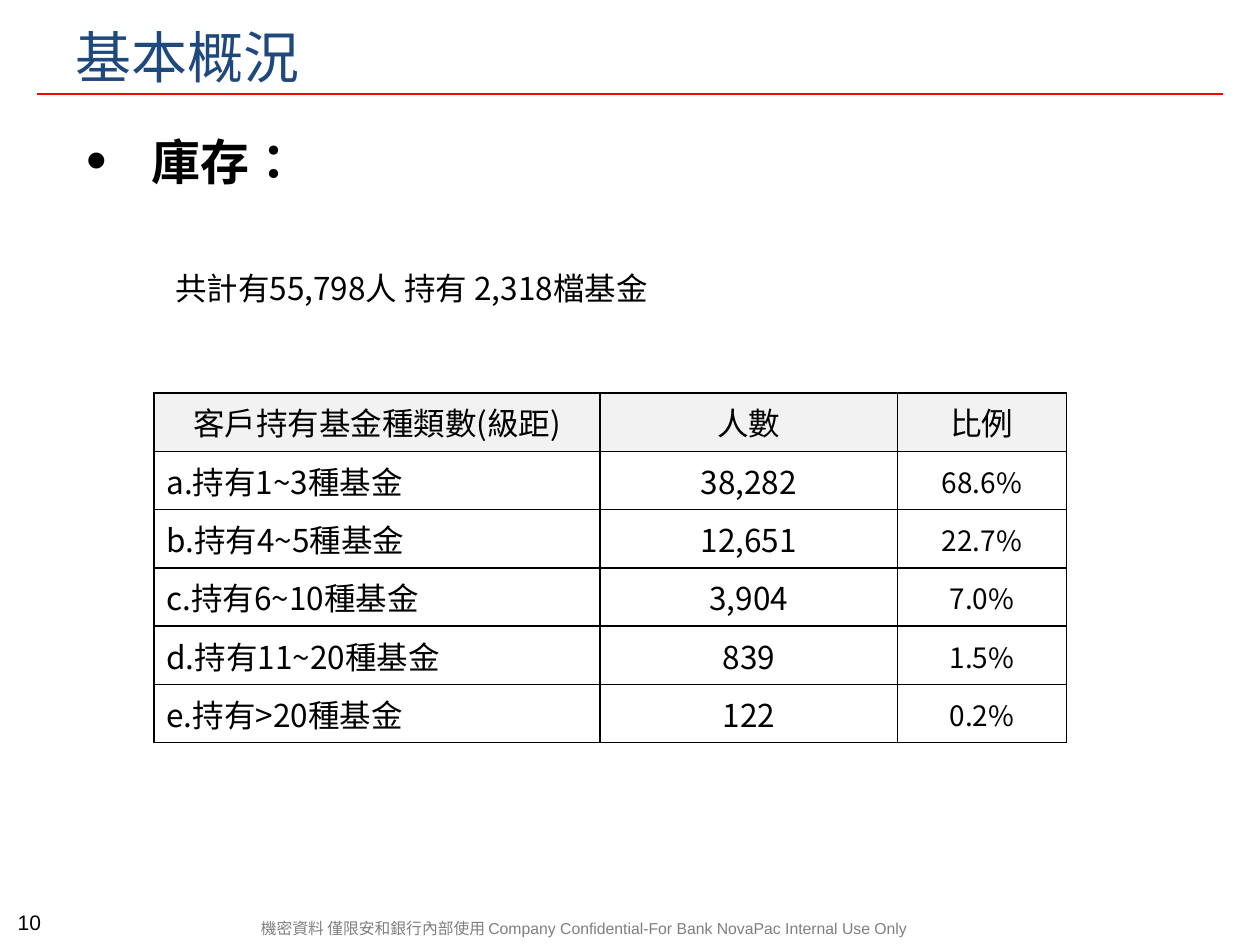
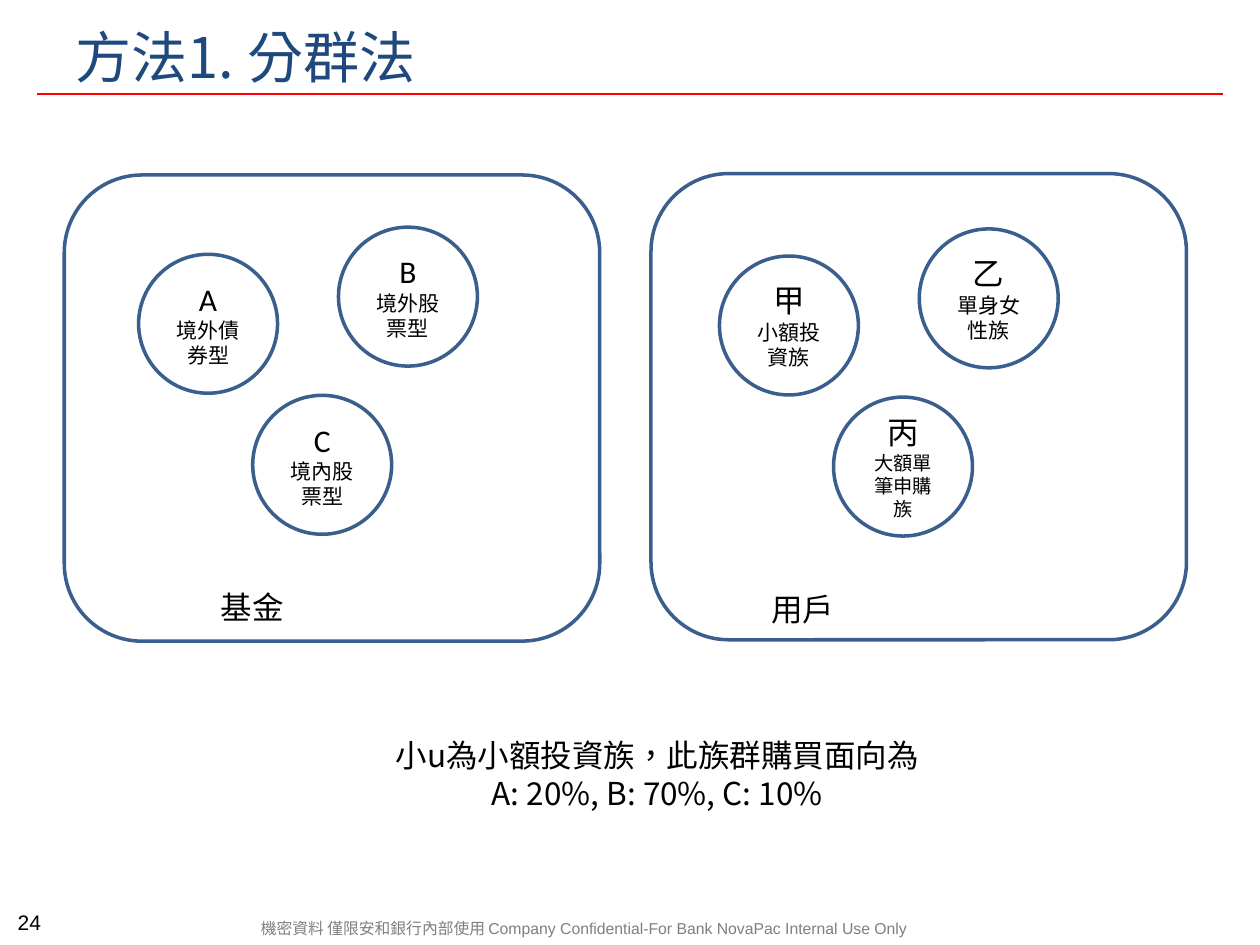
import pptx
import pptx.util
import pptx.dml.color
import pptx.enum.shapes
import pptx.enum.text
import pptx.oxml.ns
from lxml import etree

Pt = pptx.util.Pt
ALIGN = pptx.enum.text.PP_ALIGN
ANCHOR = pptx.enum.text.MSO_ANCHOR
SHAPE = pptx.enum.shapes.MSO_SHAPE
qn = pptx.oxml.ns.qn

CJK = "Noto Sans CJK SC"
BLACK, NAVY, RED = "000000", "1F497D", "FF0000"
GREY, PALE, BLUE = "7F7F7F", "F2F2F2", "3A5F8C"
FOOTER = "機密資料 僅限安和銀行內部使用 Company Confidential-For Bank NovaPac Internal Use Only"


def rgb(code):
    return pptx.dml.color.RGBColor.from_string(code)


def style(run, size, color=BLACK, face=CJK, bold=False):
    font = run.font
    font.size, font.bold, font.name = Pt(size), bold, face
    font.color.rgb = rgb(color)
    font._element.set("lang", "zh-TW")
    etree.SubElement(font._element, qn("a:ea")).set("typeface", CJK)


def write(frame, text, size, color=BLACK, face=CJK, align=ALIGN.LEFT):
    frame.word_wrap = True
    frame.text = text
    para = frame.paragraphs[0]
    para.alignment = align
    for run in para.runs:
        style(run, size, color, face)
    return para


def place(shape, box):
    shape.left, shape.top, shape.width, shape.height = map(Pt, box)


def label(slide, box, text, size, anchor=ANCHOR.TOP, **look):
    frame = slide.shapes.add_textbox(*map(Pt, box)).text_frame
    frame.vertical_anchor = anchor
    return write(frame, text, size, **look)


def outline(slide, kind, box):
    shape = slide.shapes.add_shape(kind, *map(Pt, box))
    shape.shadow.inherit = False
    shape.fill.background()
    shape.line.color.rgb = rgb(BLUE)
    shape.line.width = Pt(2)
    return shape


# Shared frame: title, red rule, footer and page number
def base(deck, layout, title, page):
    slide = deck.slides.add_slide(deck.slide_layouts[layout])
    head = slide.shapes.title
    place(head, (36, 9.4, 648, 41.8))
    head.text_frame.vertical_anchor = ANCHOR.TOP
    write(head.text_frame, title, 32, NAVY)

    rule = slide.shapes.add_connector(
        pptx.enum.shapes.MSO_CONNECTOR.STRAIGHT, Pt(21.1), Pt(53.8), Pt(699), Pt(53.8))
    rule.line.color.rgb = rgb(RED)
    rule.line.width = Pt(1.25)
    etree.SubElement(rule._element.spPr, qn("a:effectLst"))

    foot = label(slide, (142, 522, 410.4, 17.3), FOOTER, 9, ANCHOR.MIDDLE,
                 color=GREY, face="Arial")
    foot.line_spacing = Pt(10)
    num = label(slide, (0.9, 519.8, 31.7, 18), str(page), 12, ANCHOR.BOTTOM,
                face="Arial", align=ALIGN.CENTER)
    num.line_spacing = Pt(10.2)
    return slide


# Bulleted heading with an indented line below it
def body(slide, box, head, note):
    shape = slide.placeholders[1]
    place(shape, box)
    frame = shape.text_frame
    frame.vertical_anchor = ANCHOR.TOP
    frame.text = head
    frame.add_paragraph().text = note
    looks = ((28, True, 36.7, -36.7, 0), (18, False, 50.4, 0, 45))
    for para, (size, bold, left, first, gap) in zip(frame.paragraphs, looks):
        style(para.runs[0], size, bold=bold)
        para.space_before = Pt(gap)
        props = para._p.get_or_add_pPr()
        props.set("marL", str(Pt(left)))
        props.set("indent", str(Pt(first)))
        if first:
            etree.SubElement(props, qn("a:buSzPct")).set("val", "120000")
            etree.SubElement(props, qn("a:buFont")).set("typeface", "Arial")
            etree.SubElement(props, qn("a:buChar")).set("char", "•")
        else:
            etree.SubElement(props, qn("a:buNone"))


def border(cell):
    props = cell._tc.get_or_add_tcPr()
    for side in ("lnL", "lnR", "lnT", "lnB"):
        line = etree.SubElement(props, qn("a:" + side), w=str(Pt(1)))
        fill = etree.SubElement(line, qn("a:solidFill"))
        etree.SubElement(fill, qn("a:srgbClr")).set("val", BLACK)


# Table of holders by number of funds
def grid(slide, box, widths, rows):
    table = slide.shapes.add_table(len(rows), len(widths), *map(Pt, box)).table
    table.first_row = table.horz_banding = False
    for col, width in zip(table.columns, widths):
        col.width = Pt(width)
    for r, row in enumerate(rows):
        table.rows[r].height = Pt(box[3] / len(rows))
        for c, text in enumerate(row):
            cell = table.cell(r, c)
            share = r > 0 and c == 2
            align = ALIGN.LEFT if r and not c else ALIGN.CENTER
            write(cell.text_frame, text, 16 if share else 18, align=align)
            if share:
                cell.vertical_anchor = ANCHOR.MIDDLE
                cell.margin_left = cell.margin_right = cell.margin_top = Pt(0.7)
                cell.margin_bottom = 0
            border(cell)
            if r:
                cell.fill.background()
            else:
                cell.fill.solid()
                cell.fill.fore_color.rgb = rgb(PALE)


# Rounded panel with three circles and a caption
def panel(slide, box, start, groups, face, name, spot):
    left, top = box[:2]
    steps = ((0, 0), (114.2, -15.5), (65.2, 80.6))
    for (dx, dy), (key, text, size) in zip(steps, groups):
        area = (left + start[0] + dx, top + start[1] + dy, 79.4, 79.4)
        frame = outline(slide, SHAPE.OVAL, area).text_frame
        frame.vertical_anchor = ANCHOR.MIDDLE
        frame.word_wrap = True
        frame.text = key + "\v" + text
        para = frame.paragraphs[0]
        para.alignment = ALIGN.CENTER
        style(para.runs[0], 18, face=face)
        style(para.runs[1], size)
    outline(slide, SHAPE.ROUNDED_RECTANGLE, box)
    label(slide, (left + spot[0], top + spot[1], 74.2, 28.8), name, 18)


def stock(deck):
    slide = base(deck, 1, "基本概況", 10)
    body(slide, (42.5, 71.3, 642.2, 390.2), "庫存：", "共計有55,798人 持有 2,318檔基金")
    grid(slide, (87.9, 224.6, 521.5, 200), (255, 170, 96.5), (
        ("客戶持有基金種類數(級距)", "人數", "比例"),
        ("a.持有1~3種基金", "38,282", "68.6%"),
        ("b.持有4~5種基金", "12,651", "22.7%"),
        ("c.持有6~10種基金", "3,904", "7.0%"),
        ("d.持有11~20種基金", "839", "1.5%"),
        ("e.持有>20種基金", "122", "0.2%")))


def method(deck):
    slide = base(deck, 5, "方法1. 分群法", 24)
    panel(slide, (36.7, 100, 306, 266.4), (42.5, 45.3),
          (("A", "境外債券型", 12), ("B", "境外股票型", 12), ("C", "境內股票型", 12)),
          "Calibri", "基金", (82.3, 232.7))
    panel(slide, (372, 99.2, 306, 266.4), (39.1, 47.1),
          (("甲", "小額投資族", 12), ("乙", "單身女性族", 12), ("丙", "大額單筆申購族", 11)),
          CJK, "用戶", (61.6, 234.2))
    label(slide, (144.5, 416.9, 462.2, 51.1),
          "小u為小額投資族，此族群購買面向為\vA: 20%, B: 70%, C: 10%",
          18, align=ALIGN.CENTER)


def main():
    deck = pptx.Presentation()
    deck.slide_width, deck.slide_height = Pt(720), Pt(540)
    stock(deck)
    method(deck)
    deck.save("out.pptx")


if __name__ == "__main__":
    main()
